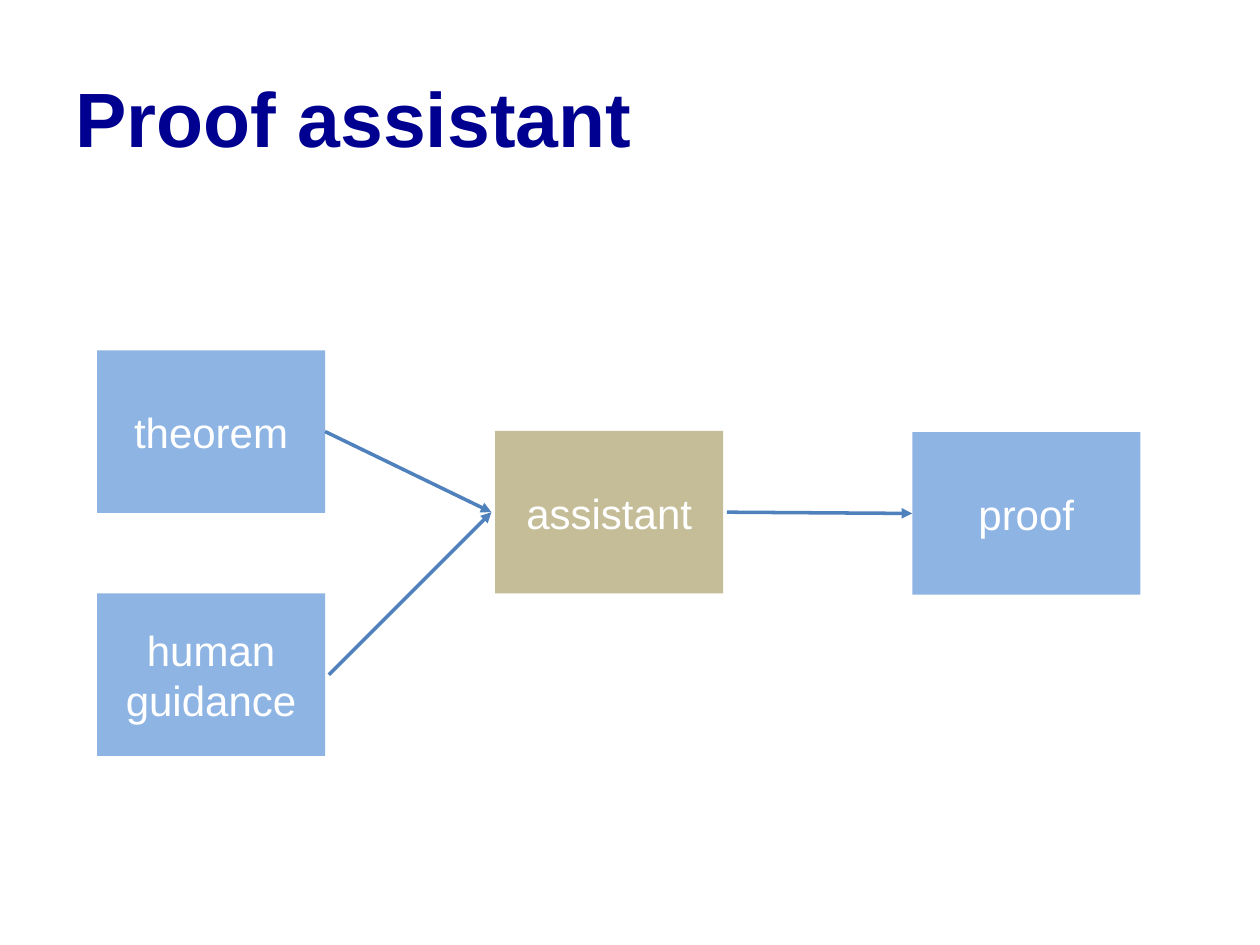
"""Build the proof assistant flow slide."""
from lxml import etree
from pptx import Presentation
from pptx.dml.color import RGBColor
from pptx.enum.shapes import MSO_CONNECTOR, MSO_SHAPE
from pptx.enum.text import MSO_ANCHOR, PP_ALIGN
from pptx.oxml.ns import qn
from pptx.util import Inches, Pt

RECT = MSO_SHAPE.RECTANGLE
STRAIGHT = MSO_CONNECTOR.STRAIGHT
MIDDLE = MSO_ANCHOR.MIDDLE
CENTER, LEFT = PP_ALIGN.CENTER, PP_ALIGN.LEFT
LEFT_SIDE, RIGHT_SIDE = 1, 3

NAVY = RGBColor(0x00, 0x00, 0x90)
BLUE = RGBColor(0x8E, 0xB4, 0xE3)
TAN = RGBColor(0xC4, 0xBD, 0x97)
LINE = RGBColor(0x4F, 0x81, 0xBD)
WHITE = RGBColor(0xFF, 0xFF, 0xFF)

TITLE = "Proof assistant"
BOX_W, BOX_H, GAP = 1.81, 1.29, 0.03
BOXES = {
    "theorem": (0.77, 2.78, BLUE),
    "human guidance": (0.77, 4.71, BLUE),
    "assistant": (3.93, 3.42, TAN),
    "proof": (7.24, 3.43, BLUE),
}
ARROWS = [
    ("theorem", 0, "assistant", GAP),
    ("human guidance", GAP, "assistant", GAP),
    ("assistant", GAP, "proof", 0),
]


def set_text(sp, text, size, color, align, bold=False):
    tf = sp.text_frame
    tf.word_wrap = True
    tf.vertical_anchor = MIDDLE
    tf.text = text
    p = tf.paragraphs[0]
    p.alignment = align
    font = p.runs[0].font
    font.name, font.size, font.bold = "Arial", Pt(size), bold
    font.color.rgb = color


def add_box(slide, text, left, top, fill):
    sp = slide.shapes.add_shape(
        RECT, Inches(left), Inches(top), Inches(BOX_W), Inches(BOX_H))
    sp.shadow.inherit = False
    sp.fill.solid()
    sp.fill.fore_color.rgb = fill
    sp.line.fill.background()
    set_text(sp, text, 24, WHITE, CENTER)
    return sp


def add_arrow(slide, shapes, start, start_gap, end, end_gap):
    x1, y1, _ = BOXES[start]
    x2, y2, _ = BOXES[end]
    cx = slide.shapes.add_connector(
        STRAIGHT,
        Inches(x1 + BOX_W + start_gap), Inches(y1 + BOX_H / 2),
        Inches(x2 - end_gap), Inches(y2 + BOX_H / 2))
    if not start_gap:
        cx.begin_connect(shapes[start], RIGHT_SIDE)
    if not end_gap:
        cx.end_connect(shapes[end], LEFT_SIDE)
    cx.line.color.rgb = LINE
    cx.line.width = Pt(2)
    etree.SubElement(cx.line._get_or_add_ln(), qn("a:tailEnd"), type="triangle")
    etree.SubElement(cx._element.spPr, qn("a:effectLst"))


def main():
    prs = Presentation()
    prs.slide_width, prs.slide_height = Inches(10), Inches(7.5)
    slide = prs.slides.add_slide(prs.slide_layouts[6])
    title = slide.shapes.add_textbox(
        Inches(0.5), Inches(0.3), Inches(9), Inches(1.25))
    set_text(title, TITLE, 44, NAVY, LEFT, bold=True)
    shapes = {text: add_box(slide, text, *box) for text, box in BOXES.items()}
    for arrow in ARROWS:
        add_arrow(slide, shapes, *arrow)
    prs.save("out.pptx")


if __name__ == "__main__":
    main()
